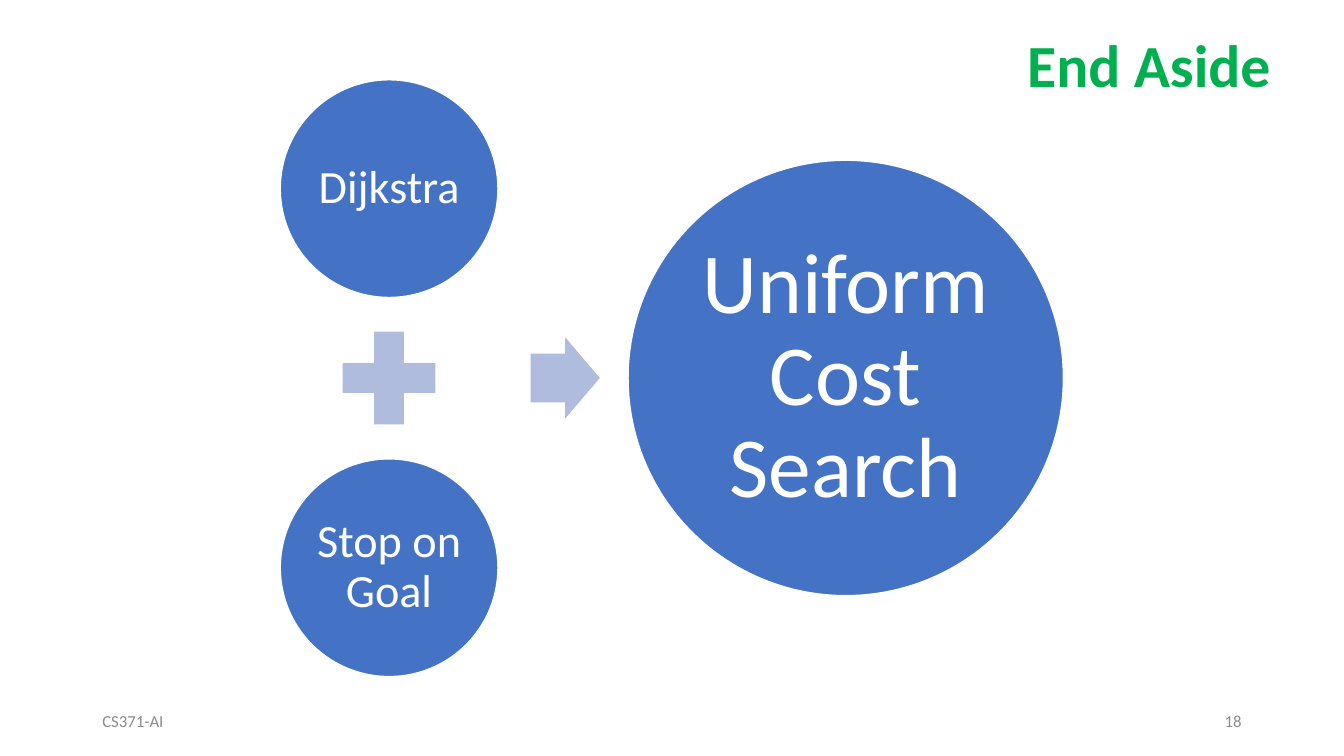
from pptx import Presentation
from pptx.dml.color import RGBColor
from pptx.enum.shapes import MSO_SHAPE
from pptx.enum.text import MSO_ANCHOR, MSO_AUTO_SIZE, PP_ALIGN
from pptx.util import Pt

BLUE = RGBColor(0x44, 0x72, 0xC4)
PALE = RGBColor(0xB0, 0xBC, 0xDE)
GREEN = RGBColor(0x00, 0xB0, 0x50)
GRAY = RGBColor(0x8C, 0x8C, 0x8C)
WHITE = RGBColor(0xFF, 0xFF, 0xFF)


def write(tf, text, size, color, align, anchor=MSO_ANCHOR.MIDDLE):
    tf.text = text
    tf.word_wrap = True
    tf.auto_size = MSO_AUTO_SIZE.NONE
    tf.vertical_anchor = anchor
    p = tf.paragraphs[0]
    p.alignment = align
    font = p.runs[0].font
    font.name = "Calibri"
    font.size = Pt(size)
    font.color.rgb = color
    return p


def add_shape(kind, x, y, w, h, fill):
    sp = s.shapes.add_shape(kind, Pt(x), Pt(y), Pt(w), Pt(h))
    sp.shadow.inherit = False
    sp.fill.solid()
    sp.fill.fore_color.rgb = fill
    sp.line.fill.background()
    return sp


prs = Presentation()
prs.slide_width, prs.slide_height = Pt(960), Pt(540)
s = prs.slides.add_slide(prs.slide_layouts[5])

title = s.shapes.title
title.left, title.top, title.width, title.height = Pt(726.5), Pt(16), Pt(227.5), Pt(59)
p = write(title.text_frame, "End Aside", 42.7, GREEN, PP_ALIGN.LEFT, MSO_ANCHOR.TOP)
p.runs[0].font.bold = True

for text, x, align in [("CS371-AI", 66, PP_ALIGN.LEFT), ("18", 678, PP_ALIGN.RIGHT)]:
    tb = s.shapes.add_textbox(Pt(x), Pt(500.5), Pt(216), Pt(28.75))
    write(tb.text_frame, text, 12, GRAY, align)

circles = [
    ("Dijkstra", 200.2, 57, 155.5, 33, 3.3),
    ("Stop on Goal", 200.2, 327.8, 155.5, 33, 3.3),
    ("Uniform Cost Search", 448.6, 114.5, 311, 61, 6),
]
for text, x, y, d, size, inset in circles:
    sp = add_shape(MSO_SHAPE.OVAL, x, y, d, d, BLUE)
    sp.line.color.rgb = WHITE
    sp.line.width = Pt(1)
    tf = sp.text_frame
    tf.margin_left = tf.margin_right = tf.margin_top = tf.margin_bottom = Pt(inset)
    p = write(tf, text, size, WHITE, PP_ALIGN.CENTER)
    p.line_spacing = 0.9

add_shape(MSO_SHAPE.MATH_PLUS, 232.8, 224.9, 90.2, 90.2, PALE)
arrow = add_shape(MSO_SHAPE.RIGHT_ARROW, 379, 241, 49.5, 58, PALE)
arrow.adjustments[0] = 0.6
arrow.adjustments[1] = 0.5

prs.save("out.pptx")
